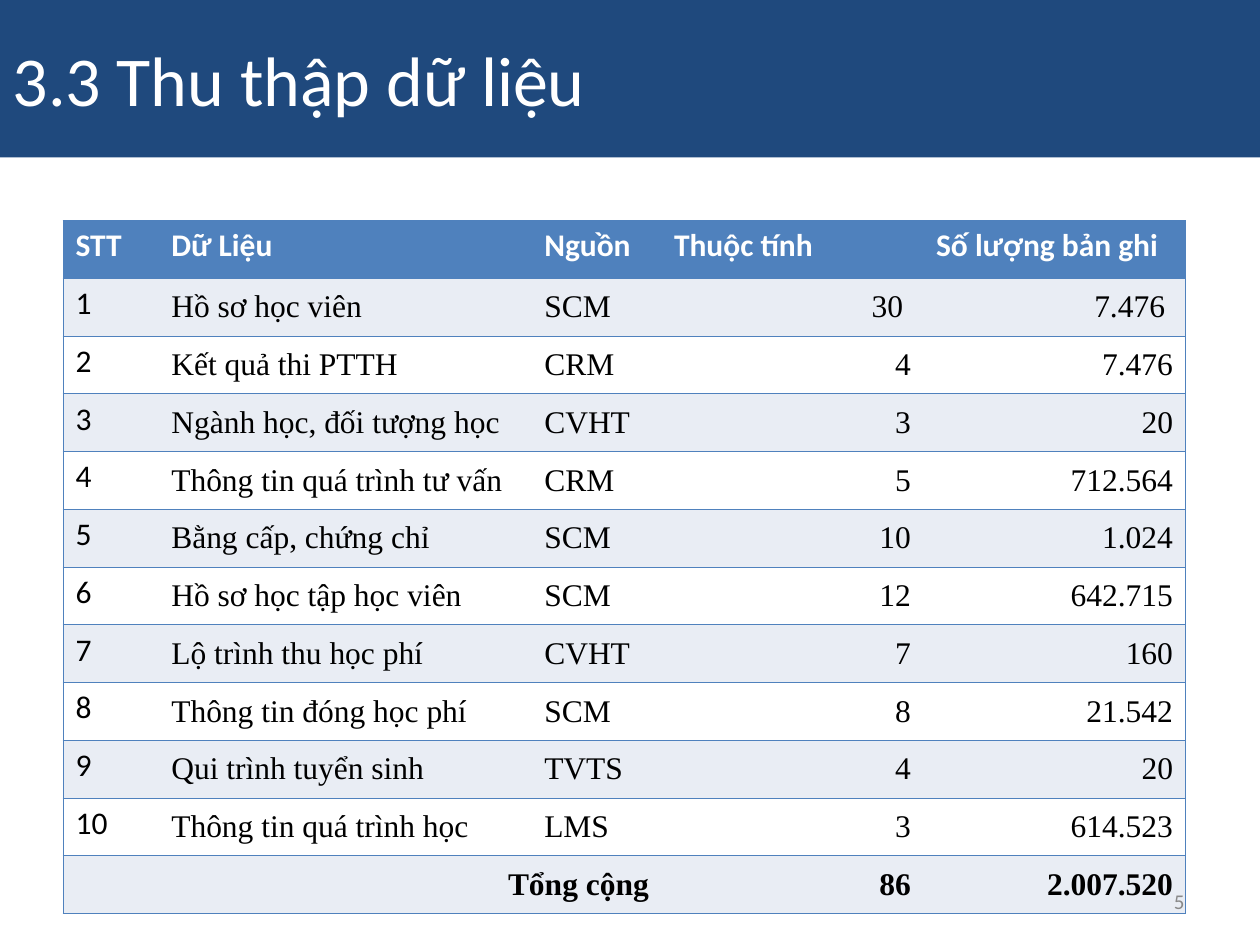
from lxml import etree
from pptx import Presentation
from pptx.dml.color import RGBColor
from pptx.enum.text import MSO_ANCHOR as Anchor, PP_ALIGN as Align
from pptx.oxml.ns import qn
from pptx.util import Inches, Pt

SANS, SERIF = "Calibri", "Times New Roman"
BLUE, PALE, WHITE, BLACK = "4F81BD", "E9EDF4", "FFFFFF", "000000"
WIDTHS = [0.76, 2.96, 1.03, 2.08, 2.08]
HEAD = ["STT", "Dữ Liệu", "Nguồn", "Thuộc tính", "Số lượng bản ghi"]
DATA = [
    ["Hồ sơ học viên", "SCM", "30 ", "7.476 "],
    ["Kết quả thi PTTH", "CRM", "4", "7.476"],
    ["Ngành học, đối tượng học", "CVHT", "3", "20"],
    ["Thông tin quá trình tư vấn", "CRM", "5", "712.564"],
    ["Bằng cấp, chứng chỉ", "SCM", "10", "1.024"],
    ["Hồ sơ học tập học viên", "SCM", "12", "642.715"],
    ["Lộ trình thu học phí", "CVHT", "7", "160"],
    ["Thông tin đóng học phí", "SCM", "8", "21.542"],
    ["Qui trình tuyển sinh", "TVTS", "4", "20"],
    ["Thông tin quá trình học", "LMS", "3", "614.523"],
]
TOTAL = ["Tổng cộng", "", "", "86", "2.007.520"]


def color(code):
    return RGBColor.from_string(code)


def paint(shape, code):
    shape.fill.solid()
    shape.fill.fore_color.rgb = color(code)


def write(frame, text, size, face, code, bold=False, align=Align.LEFT):
    frame.text = text
    para = frame.paragraphs[0]
    para.alignment = align
    for run in para.runs:
        font = run.font
        font.size, font.name, font.bold = Pt(size), face, bold
        font.color.rgb = color(code)
    return para


def place(shape, left, top, width, height):
    shape.left, shape.top = Inches(left), Inches(top)
    shape.width, shape.height = Inches(width), Inches(height)


def edge(cell, sides):
    props = cell._tc.get_or_add_tcPr()
    for side in "LRTB":
        line = etree.SubElement(props, qn(f"a:ln{side}"), w=str(Pt(0.45)))
        if side in sides:
            fill = etree.SubElement(line, qn("a:solidFill"))
            etree.SubElement(fill, qn("a:srgbClr"), val=BLUE)
        else:
            etree.SubElement(line, qn("a:noFill"))


def add_title(slide, left, top, width, height):
    title = slide.shapes.title
    place(title, left, top, width, height)
    paint(title, "1F497D")
    title.text_frame.vertical_anchor = Anchor.MIDDLE
    write(title.text_frame, "3.3 Thu thập dữ liệu", 40, SANS, WHITE)


def add_grid(slide, left, top, height):
    body = [[str(num), *row] for num, row in enumerate(DATA, 1)]
    rows = [HEAD, *body, TOTAL]
    last, end = len(rows) - 1, len(HEAD) - 1
    table = slide.shapes.add_table(
        len(rows), len(HEAD), Inches(left), Inches(top),
        Inches(sum(WIDTHS)), Inches(height)).table
    table.horz_banding = False
    for col, width in zip(table.columns, WIDTHS):
        col.width = Inches(width)
    for r, row in enumerate(rows):
        table.rows[r].height = Inches(height / len(rows))
        for c, text in enumerate(row):
            cell = table.cell(r, c)
            edge(cell, "TB" + "L" * (c == 0) + "R" * (c == end))
            paint(cell, BLUE if r == 0 else PALE if r % 2 else WHITE)
            plain = r == 0 or (c == 0 and r < last)
            right = r == last or (r > 0 and c > 2)
            para = write(cell.text_frame, text, 18, SANS if plain else SERIF,
                         WHITE if r == 0 else BLACK, r in (0, last),
                         Align.RIGHT if right else Align.LEFT)
            if not plain:
                para.line_spacing = 1.15
    table.cell(last, 0).merge(table.cell(last, 2))


def add_number(slide, left, top, width, height):
    box = slide.shapes.add_textbox(
        Inches(left), Inches(top), Inches(width), Inches(height))
    frame = box.text_frame
    frame.word_wrap = True
    frame.vertical_anchor = Anchor.MIDDLE
    write(frame, "5", 12, SANS, "898989", align=Align.RIGHT)


def main():
    deck = Presentation()
    deck.slide_width, deck.slide_height = Inches(10), Inches(7.5)
    slide = deck.slides.add_slide(deck.slide_layouts[5])
    add_title(slide, 0, 0, 10, 1.25)
    add_grid(slide, 0.5, 1.75, 5.5)
    add_number(slide, 7.17, 6.95, 2.33, 0.4)
    deck.save("out.pptx")


if __name__ == "__main__":
    main()
